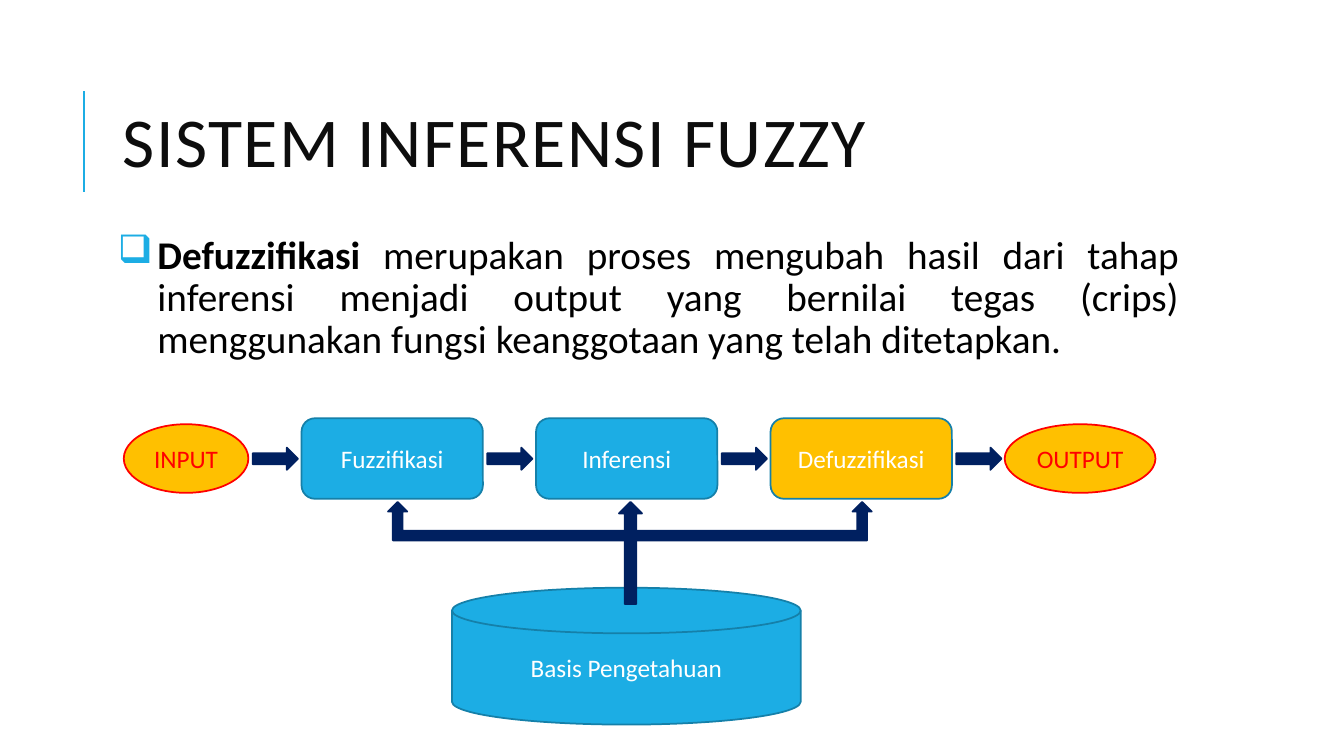
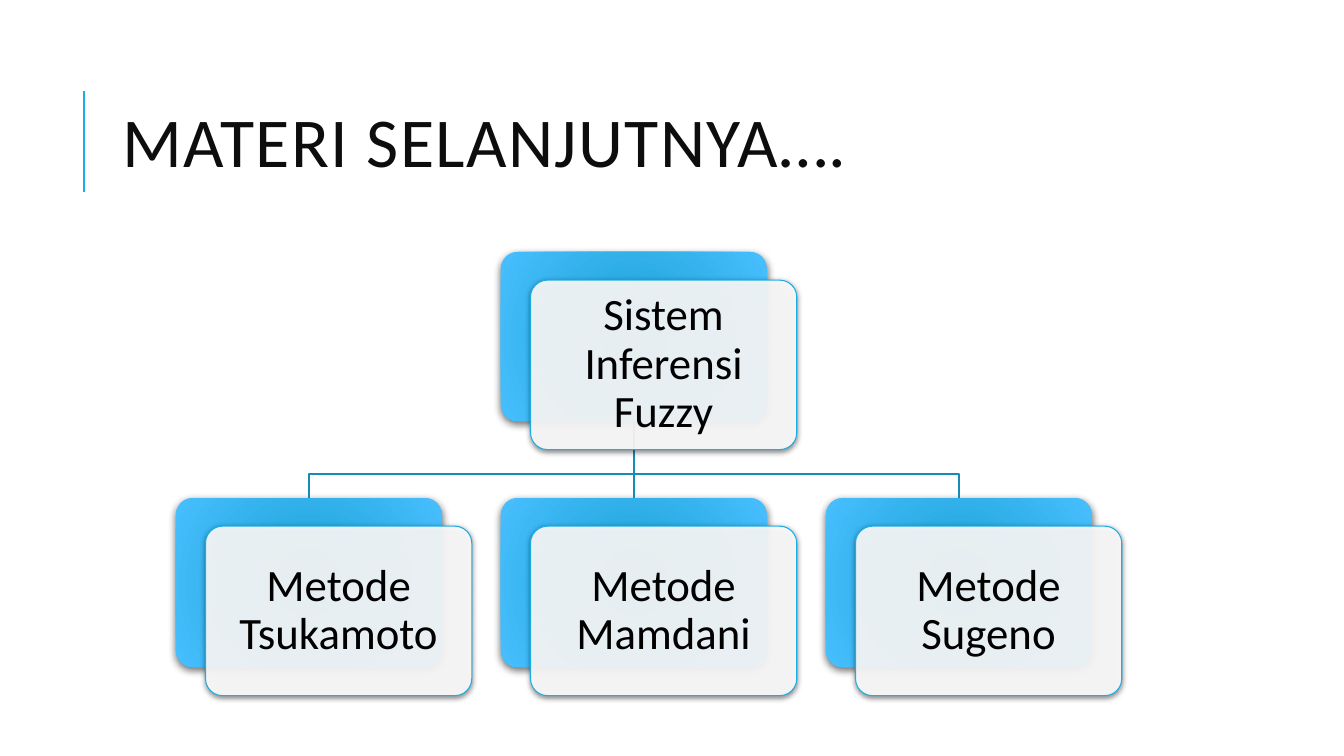
"""Build two slides on fuzzy inference: the defuzzification flow and the methods to come."""
from dataclasses import dataclass

from lxml import etree
from pptx import Presentation
from pptx.dml.color import RGBColor
from pptx.enum.shapes import MSO_CONNECTOR, MSO_SHAPE
from pptx.enum.text import MSO_ANCHOR, PP_ALIGN
from pptx.oxml import parse_xml
from pptx.oxml.ns import nsdecls, qn
from pptx.util import Cm, Pt

STRAIGHT = MSO_CONNECTOR.STRAIGHT
ELLIPSE = MSO_SHAPE.OVAL
ROUNDED = MSO_SHAPE.ROUNDED_RECTANGLE
DISK = MSO_SHAPE.FLOWCHART_MAGNETIC_DISK
RIGHT_ARROW = MSO_SHAPE.RIGHT_ARROW
BENT_ARROW = MSO_SHAPE.BENT_UP_ARROW
UP_ARROW = MSO_SHAPE.UP_ARROW
MIDDLE = MSO_ANCHOR.MIDDLE
LEFT, CENTER, JUSTIFY = PP_ALIGN.LEFT, PP_ALIGN.CENTER, PP_ALIGN.JUSTIFY


@dataclass(frozen=True)
class Theme:
    font: str = "Calibri"
    title: RGBColor = RGBColor(0x0D, 0x0D, 0x0D)
    text: RGBColor = RGBColor(0, 0, 0)
    white: RGBColor = RGBColor(0xFF, 0xFF, 0xFF)
    accent: RGBColor = RGBColor(0x1C, 0xAD, 0xE4)
    outline: RGBColor = RGBColor(0x15, 0x80, 0xA9)
    branch: RGBColor = RGBColor(0x16, 0x8B, 0xB7)
    gold: RGBColor = RGBColor(0xFF, 0xC0, 0x00)
    red: RGBColor = RGBColor(0xFF, 0, 0)
    navy: RGBColor = RGBColor(0, 0x20, 0x60)
    gradient_inner: RGBColor = RGBColor(0x1A, 0xA1, 0xD4)
    gradient_outer: RGBColor = RGBColor(0x48, 0xBF, 0xFF)
    title_size: Pt = Pt(50)
    card_size: Pt = Pt(32)
    body_size: Pt = Pt(28)
    label_size: Pt = Pt(18)


theme = Theme()


def write(shape, text, size, color, alignment=CENTER, spacing=None):
    frame = shape.text_frame
    frame.word_wrap = True
    frame.vertical_anchor = MIDDLE
    paragraph = frame.paragraphs[0]
    paragraph.alignment = alignment
    paragraph.line_spacing = spacing
    paragraph.add_run().text = text
    paragraph.font.name = theme.font
    paragraph.font.size = size
    paragraph.font.color.rgb = color
    return paragraph


def add_block(slide, kind, box, fill, line, line_width=1.25):
    shape = slide.shapes.add_shape(kind, *(Cm(length) for length in box))
    shape.fill.solid()
    shape.fill.fore_color.rgb = fill
    shape.line.color.rgb = line
    shape.line.width = Pt(line_width)
    shape.shadow.inherit = False
    return shape


presentation = Presentation()
presentation.slide_width, presentation.slide_height = Cm(33.87), Cm(19.05)

slides = []
for title in ("SISTEM INFERENSI FUZZY", "MATERI SELANJUTNYA…."):
    slide = presentation.slides.add_slide(presentation.slide_layouts[6])
    rule = slide.shapes.add_connector(STRAIGHT, Cm(2.12), Cm(4.83), Cm(2.12), Cm(2.3))
    rule.line.color.rgb = theme.accent
    rule.line.width = Pt(1.5)
    etree.SubElement(rule.element.spPr, qn("a:effectLst"))
    title_box = slide.shapes.add_textbox(Cm(2.84), Cm(1.63), Cm(27), Cm(4.17))
    paragraph = write(title_box, title, theme.title_size, theme.title, LEFT, 0.8)
    paragraph.runs[0]._r.get_or_add_rPr().set("spc", "100")
    slides.append(slide)
flow_slide, methods_slide = slides

body = flow_slide.shapes.add_textbox(Cm(2.84), Cm(5.8), Cm(27), Cm(11.73))
frame = body.text_frame
frame.word_wrap = True
frame.margin_left = frame.margin_right = frame.margin_top = frame.margin_bottom = Cm(0.13)
paragraph = frame.paragraphs[0]
properties = paragraph._p.get_or_add_pPr()
properties.set("marL", str(Cm(1)))
properties.set("indent", str(-Cm(1)))
bullet_color = etree.SubElement(properties, qn("a:buClr"))
etree.SubElement(bullet_color, qn("a:srgbClr"), val=str(theme.accent))
etree.SubElement(properties, qn("a:buFont"), typeface="Wingdings", charset="2")
etree.SubElement(properties, qn("a:buChar"), char="q")
paragraph.alignment = JUSTIFY
paragraph.line_spacing = 0.9
paragraph.space_after = Pt(2)
term = paragraph.add_run()
term.text = "Defuzzifikasi "
term.font.bold = True
paragraph.add_run().text = (
    "merupakan proses mengubah hasil dari tahap inferensi menjadi output yang bernilai "
    "tegas (crips) menggunakan fungsi keanggotaan yang telah ditetapkan."
)
paragraph.font.name = theme.font
paragraph.font.size = theme.body_size
paragraph.font.color.rgb = theme.text

STAGE_PITCH = 5.91
for label, left, width in (("INPUT", 3.12, 3.14), ("OUTPUT", 25.32, 3.8)):
    terminal = add_block(flow_slide, ELLIPSE, (left, 10.69, width, 1.73), theme.gold, theme.red)
    terminal.text_frame.margin_left = terminal.text_frame.margin_right = 0
    write(terminal, label, theme.label_size, theme.red)

stages = (("Fuzzifikasi", theme.accent), ("Inferensi", theme.accent), ("Defuzzifikasi", theme.gold))
for index, (label, fill) in enumerate(stages):
    box = (7.6 + index * STAGE_PITCH, 10.54, 4.57, 2.03)
    stage = add_block(flow_slide, ROUNDED, box, fill, theme.outline)
    write(stage, label, theme.label_size, theme.white)

knowledge = add_block(flow_slide, DISK, (11.39, 14.81, 8.79, 3.45), theme.accent, theme.outline)
write(knowledge, "Basis Pengetahuan", theme.label_size, theme.white)

for index in range(len(stages) + 1):
    box = (6.37 + index * STAGE_PITCH, 11.28, 1.14, 0.56)
    add_block(flow_slide, RIGHT_ARROW, box, theme.navy, theme.navy)
add_block(flow_slide, BENT_ARROW, (15.95, 12.65, 6.02, 0.97), theme.navy, theme.navy)
left_arrow = add_block(flow_slide, BENT_ARROW, (9.78, 12.65, 6.02, 0.97), theme.navy, theme.navy)
left_arrow.element.spPr.xfrm.set("flipH", "1")
add_block(flow_slide, UP_ARROW, (15.6, 12.65, 0.58, 2.57), theme.navy, theme.navy)

CARD_WIDTH, CARD_HEIGHT, CARD_PITCH = 6.71, 4.27, 8.19
FIRST_LEFT, ROOT_TOP, METHOD_TOP, BEND_TOP = 4.43, 6.35, 12.55, 11.94
cards = [("Sistem Inferensi Fuzzy", FIRST_LEFT + CARD_PITCH, ROOT_TOP)]
for index, method in enumerate(("Tsukamoto", "Mamdani", "Sugeno")):
    cards.append((f"Metode {method}", FIRST_LEFT + index * CARD_PITCH, METHOD_TOP))

backs, fronts = [], []
for label, left, top in cards:
    box = (left, top, CARD_WIDTH, CARD_HEIGHT)
    back = add_block(methods_slide, ROUNDED, box, theme.accent, theme.accent)
    back.line.fill.background()
    gradient = parse_xml(
        f'<a:gradFill {nsdecls("a")} rotWithShape="1"><a:gsLst>'
        f'<a:gs pos="0"><a:srgbClr val="{theme.gradient_inner}"/></a:gs>'
        f'<a:gs pos="100000"><a:srgbClr val="{theme.gradient_outer}"/></a:gs></a:gsLst>'
        '<a:path path="circle"><a:fillToRect l="100000" t="100000" r="100000" b="100000"/>'
        '</a:path></a:gradFill>'
    )
    solid = back.element.spPr.find(qn("a:solidFill"))
    back.element.spPr.replace(solid, gradient)
    backs.append(back)

root, *methods = backs
root_x = root.left + root.width // 2
root_bottom = root.top + root.height
for method in methods:
    method_x = method.left + method.width // 2
    if method.left == root.left:
        branch = methods_slide.shapes.add_connector(STRAIGHT, root_x, root_bottom, method_x, method.top)
        branch.begin_connect(root, 2)
        branch.end_connect(method, 0)
        etree.SubElement(branch.element.spPr, qn("a:effectLst"))
    else:
        builder = methods_slide.shapes.build_freeform(root_x, root_bottom)
        corners = [(root_x, Cm(BEND_TOP)), (method_x, Cm(BEND_TOP)), (method_x, method.top)]
        builder.add_line_segments(corners, close=False)
        branch = builder.convert_to_shape()
        branch.fill.background()
        branch.shadow.inherit = False
    branch.line.color.rgb = theme.branch
    branch.line.width = Pt(1.25)

for label, left, top in cards:
    box = (left + 0.75, top + 0.71, CARD_WIDTH, CARD_HEIGHT)
    front = add_block(methods_slide, ROUNDED, box, theme.white, theme.accent, 0.75)
    color = front.element.spPr.find(qn("a:solidFill"))[0]
    etree.SubElement(color, qn("a:alpha"), val="90000")
    frame = front.text_frame
    frame.margin_left = frame.margin_right = frame.margin_top = frame.margin_bottom = Cm(0.33)
    write(front, label, theme.card_size, theme.text, spacing=0.9)
    fronts.append(front)

for layer, blur, distance, opacity in ((backs, 6, 2, 60), (fronts, 4, 1, 50)):
    for card in layer:
        card.adjustments[0] = 0.1
        effects = card.element.spPr.find(qn("a:effectLst"))
        shadow = etree.SubElement(
            effects, qn("a:outerShdw"), blurRad=str(Pt(blur)), dist=str(Pt(distance)),
            dir="5400000", algn="ctr", rotWithShape="0",
        )
        shadow_color = etree.SubElement(shadow, qn("a:srgbClr"), val=str(theme.text))
        etree.SubElement(shadow_color, qn("a:alpha"), val=str(opacity * 1000))

presentation.save("out.pptx")
